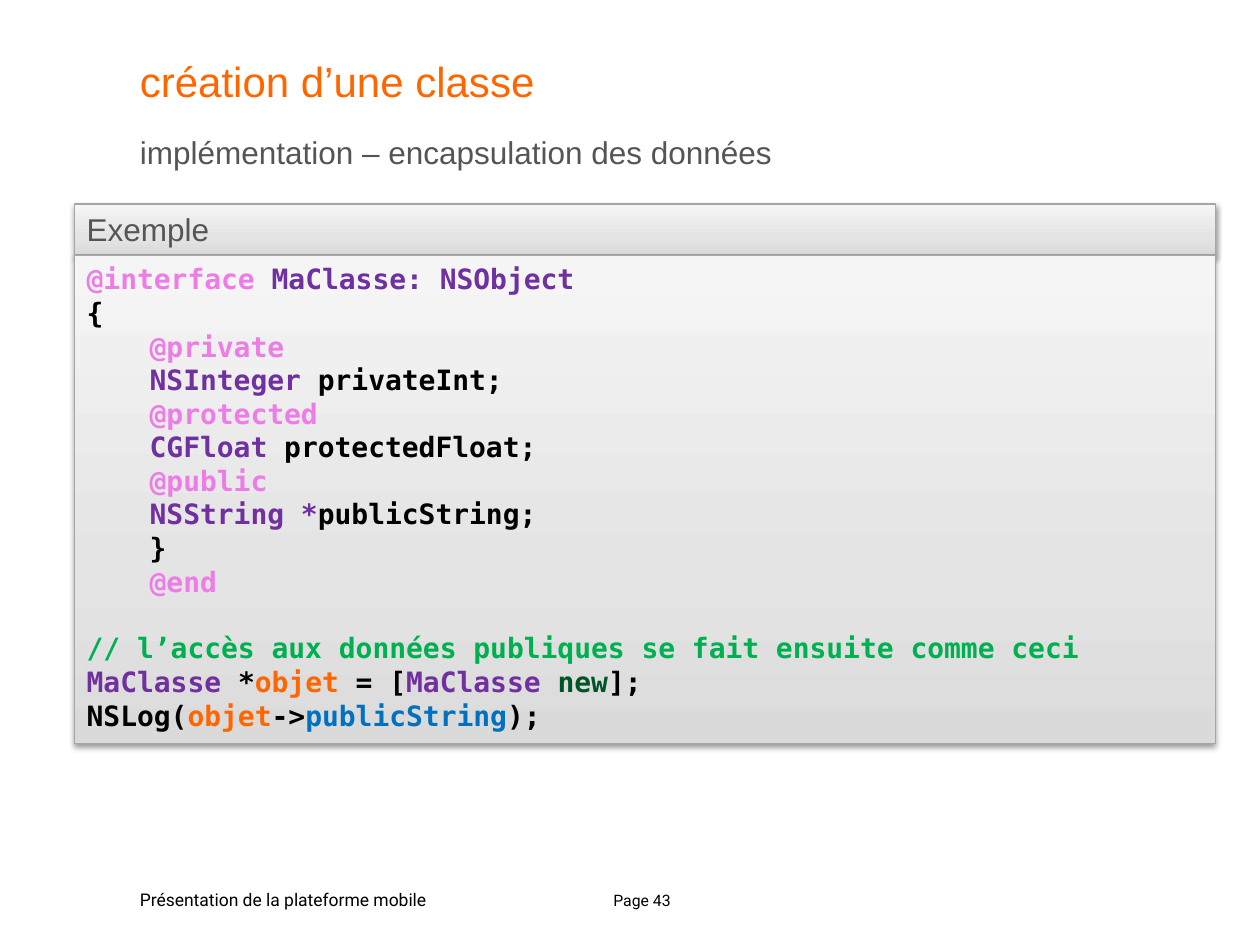
from dataclasses import dataclass

from lxml import etree
from pptx import Presentation
from pptx.dml.color import RGBColor as RGB
from pptx.enum.shapes import MSO_SHAPE as Shape
from pptx.enum.text import MSO_ANCHOR as Anchor, MSO_AUTO_SIZE as AutoSize, PP_ALIGN as Align
from pptx.oxml import parse_xml
from pptx.oxml.ns import qn
from pptx.util import Inches, Pt


@dataclass(frozen=True)
class Theme:
    sans: str = "Arial"
    mono: str = "DejaVu Sans Mono"
    footer: str = "Roboto"
    title_size: float = 24
    text_size: float = 18
    code_size: float = 16
    footer_size: float = 10
    page_size: float = 9
    orange: str = "FF6600"
    grey: str = "555555"
    black: str = "000000"
    keyword: str = "EE7CE6"
    type_name: str = "7030A0"
    comment: str = "00B050"
    message: str = "005426"
    member: str = "0070C0"
    border: str = "A6A6A6"
    gradient: tuple = ((0, "DADADA"), (35, "E4E4E4"), (100, "F5F5F5"))


T = Theme()


@dataclass(frozen=True)
class Box:
    left: float
    top: float
    width: float
    height: float

    def emu(self) -> tuple:
        return tuple(Inches(v) for v in (self.left, self.top, self.width, self.height))


@dataclass(frozen=True)
class CodeLine:
    runs: tuple  # (text, colour) pairs
    indent: float = 0
    before: float = 0


CODE = (
    CodeLine((("@interface ", T.keyword), ("MaClasse: NSObject", T.type_name))),
    CodeLine((("{", T.black),)),
    CodeLine((("@private", T.keyword),), 0.5),
    CodeLine((("NSInteger ", T.type_name), ("privateInt;", T.black)), 0.5),
    CodeLine((("@protected", T.keyword),), 0.5),
    CodeLine((("CGFloat ", T.type_name), ("protectedFloat;", T.black)), 0.5),
    CodeLine((("@public", T.keyword),), 0.5),
    CodeLine((("NSString *", T.type_name), ("publicString;", T.black)), 0.5),
    CodeLine((("}", T.black),), 0.5),
    CodeLine((("@end", T.keyword),), 0.5),
    CodeLine((("// l’accès aux données publiques se fait ensuite comme ceci", T.comment),), before=19),
    CodeLine((("MaClasse ", T.type_name), ("*", T.black), ("objet", T.orange), (" = [", T.black),
              ("MaClasse", T.type_name), (" new", T.message), ("];", T.black))),
    CodeLine((("NSLog(", T.black), ("objet", T.orange), ("->", T.black),
              ("publicString", T.member), (");", T.black))),
)


def set_font(font, name: str, size: float, color: str) -> None:
    font.name, font.size = name, Pt(size)
    font.color.rgb = RGB.from_string(color)


def write(sp, text: str, name: str, size: float, color: str,
          inset: tuple = (0, 0), wrap: bool = True, align=Align.LEFT) -> None:
    """Put one line of text in a shape; inset is (horizontal, vertical)."""
    tf = sp.text_frame
    tf.word_wrap, tf.auto_size, tf.vertical_anchor = wrap, AutoSize.NONE, Anchor.TOP
    tf.margin_left = tf.margin_right = Inches(inset[0])
    tf.margin_top = tf.margin_bottom = Inches(inset[1])
    p = tf.paragraphs[0]
    p.text, p.alignment = text, align
    set_font(p.font, name, size, color)


def add_panel(slide, box: Box):
    """Add a bordered rectangle with a grey gradient and a soft shadow."""
    sp = slide.shapes.add_shape(Shape.RECTANGLE, *box.emu())
    sp.line.color.rgb, sp.line.width = RGB.from_string(T.border), Pt(0.75)
    sp.fill.gradient()
    stops = sp._element.spPr.find(".//" + qn("a:gsLst"))
    for stop in list(stops):
        stops.remove(stop)
    for pos, color in T.gradient:
        gs = etree.SubElement(stops, qn("a:gs"), pos=str(pos * 1000))
        etree.SubElement(gs, qn("a:srgbClr"), val=color)
    sp.fill.gradient_angle = 90  # counter-clockwise: darkest at the bottom
    sp.shadow.inherit = False
    sp._element.spPr.find(qn("a:effectLst")).append(parse_xml(
        '<a:outerShdw xmlns:a="http://schemas.openxmlformats.org/drawingml/2006/main" '
        f'blurRad="{Pt(3.1)}" dist="{Pt(1.6)}" dir="5400000" rotWithShape="0">'
        f'<a:srgbClr val="{T.black}"><a:alpha val="38000"/></a:srgbClr></a:outerShdw>'))
    return sp


def write_code(sp, lines: tuple) -> None:
    tf = sp.text_frame
    tf.word_wrap, tf.vertical_anchor = True, Anchor.TOP
    for i, line in enumerate(lines):
        p = tf.add_paragraph() if i else tf.paragraphs[0]
        p.alignment, p.space_before = Align.LEFT, Pt(line.before)
        p.font.name, p.font.size, p.font.bold = T.mono, Pt(T.code_size), True
        p._p.get_or_add_pPr().set("marL", str(Inches(line.indent)))
        for text, color in line.runs:
            r = p.add_run()
            r.text = text
            r.font.color.rgb = RGB.from_string(color)


def main() -> None:
    prs = Presentation()
    prs.slide_width, prs.slide_height = Inches(10), Inches(7.5)
    slide = prs.slides.add_slide(prs.slide_layouts[5])
    shapes = slide.shapes

    # Title and subtitle
    title = shapes.title
    title.left, title.top, title.width, title.height = Box(1.11, 0.44, 8.54, 0.54).emu()
    write(title, "création d’une classe", T.sans, T.title_size, T.orange)
    subtitle = shapes.add_textbox(*Box(1.11, 1.06, 8.54, 0.33).emu())
    write(subtitle, "implémentation – encapsulation des données", T.sans, T.text_size, T.grey)

    # Example: header above code
    header = add_panel(slide, Box(0.59, 1.62, 9.06, 0.4))
    write(header, "Exemple", T.sans, T.text_size, T.grey, (0.1, 0.05))
    write_code(add_panel(slide, Box(0.59, 2.03, 9.06, 3.87)), CODE)

    # Footer
    footer = shapes.add_textbox(*Box(1.11, 7.01, 2.72, 0.24).emu())
    write(footer, "Présentation de la plateforme mobile", T.footer, T.footer_size, T.black,
          (0, 0.05), wrap=False)
    page = shapes.add_textbox(*Box(4.69, 7.02, 0.81, 0.24).emu())
    write(page, "Page 43", T.footer, T.page_size, T.black, (0.1, 0.05), align=Align.CENTER)

    prs.save("out.pptx")


if __name__ == "__main__":
    main()
